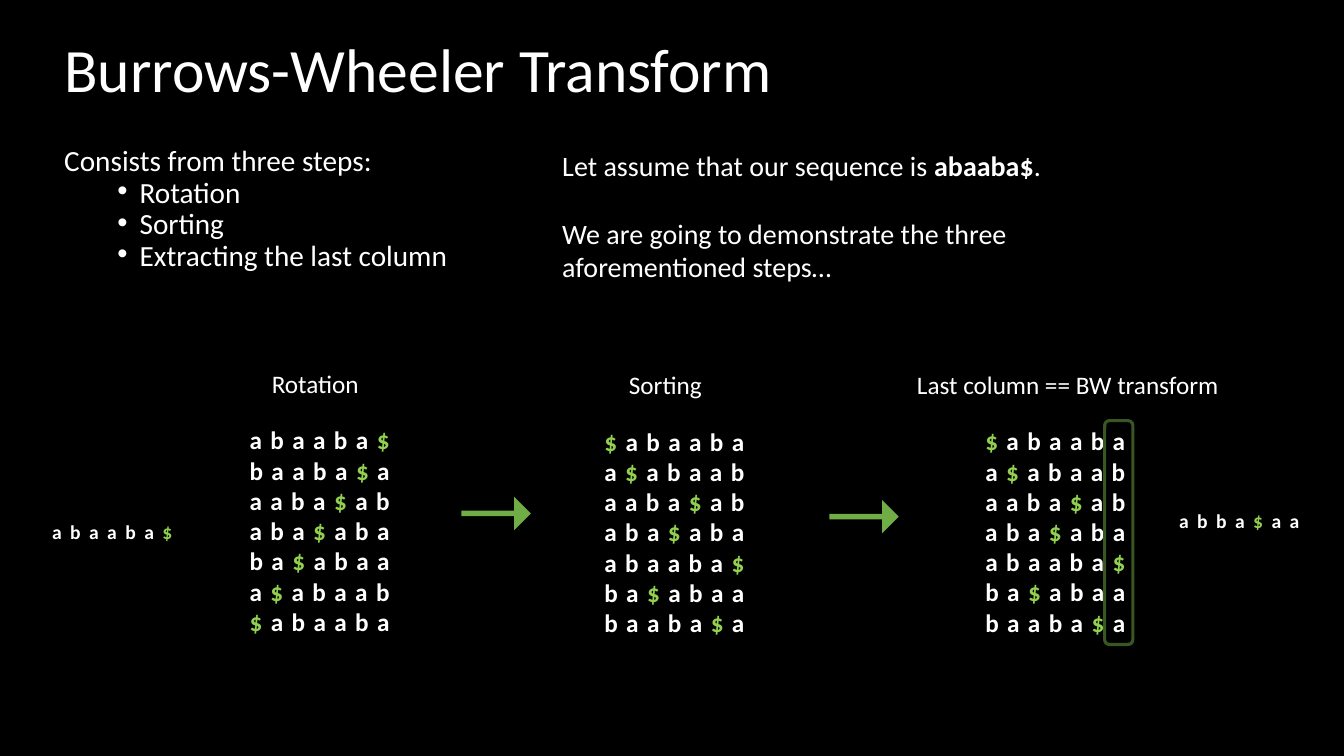
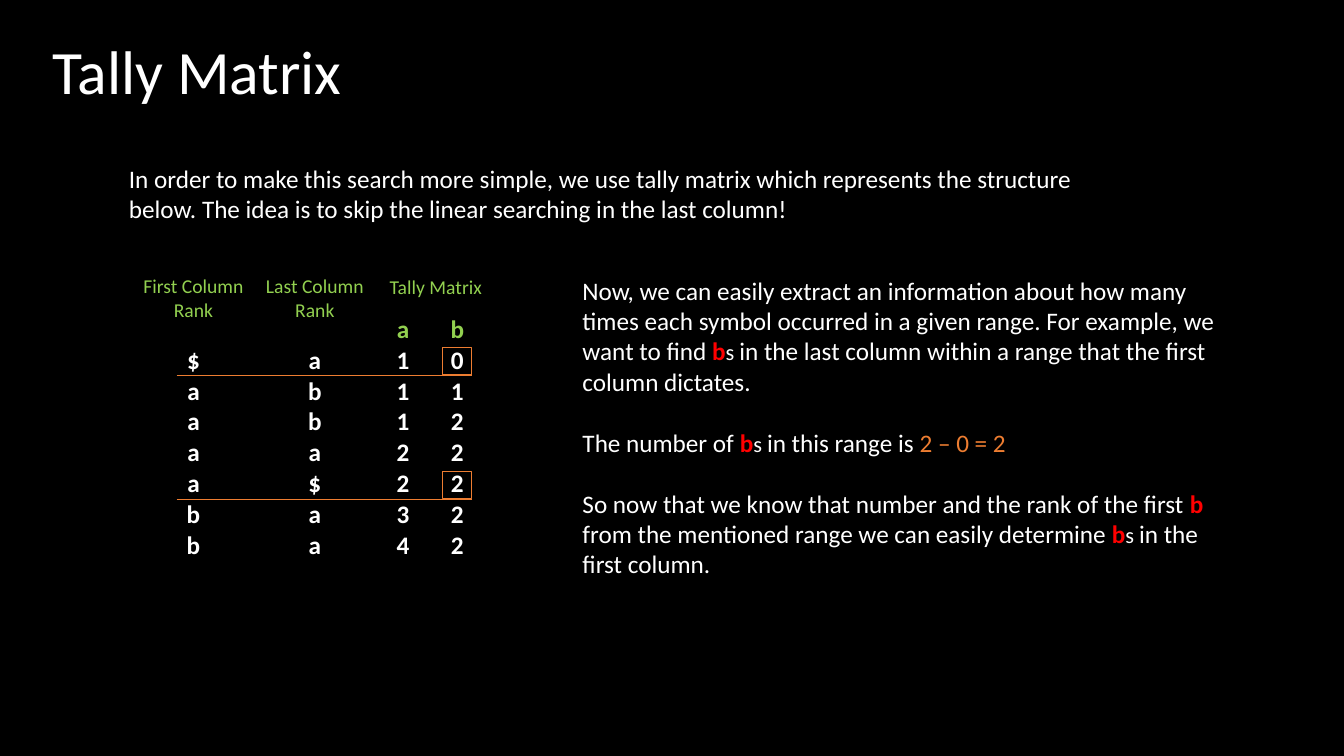
from itertools import groupby

from lxml import etree
from pptx import Presentation
from pptx.dml.color import RGBColor
from pptx.enum.shapes import MSO_CONNECTOR, MSO_SHAPE
from pptx.enum.text import MSO_ANCHOR, MSO_AUTO_SIZE, PP_ALIGN
from pptx.oxml.ns import qn
from pptx.util import Cm, Pt

COLORS = {"back": "000000", "text": "FFFFFF", "mark": "92D050", "arrow": "70AD47",
          "frame": "385723", "hit": "ED7D31", "symbol": "FF0000"}
FONT = "Calibri"
NO_GRID_STYLE = "{2D5ABB26-0587-4C30-8999-92F81FD0307C}"
SEQUENCE = "abaaba$"
ROTATIONS = [SEQUENCE[i:] + SEQUENCE[:i] for i in range(len(SEQUENCE))]
SORTED_ROWS = sorted(ROTATIONS)
FIRST_COLUMN = "".join(row[0] for row in SORTED_ROWS)
LAST_COLUMN = "".join(row[-1] for row in SORTED_ROWS)


def rgb(name):
    return RGBColor.from_string(COLORS[name])


# Text helpers
def add_run(p, text, size=18, color="text", bold=False, spacing=0):
    r = p.add_run()
    r.text = text
    for name, value in {"name": FONT, "size": Pt(size), "bold": bold}.items():
        setattr(r.font, name, value)
    r.font.color.rgb = rgb(color)
    if spacing:
        r._r.get_or_add_rPr().set("spc", str(spacing * 100))


def write(tf, paragraphs, fmt=None, **base):
    """Each paragraph is a list of (text, run format) pairs."""
    for i, runs in enumerate(paragraphs):
        p = tf.paragraphs[0] if i == 0 else tf.add_paragraph()
        for name, value in (fmt or {}).items():
            if i or name != "space_before":
                setattr(p, name, value)
        for text, run_format in runs:
            add_run(p, text, **{**base, **run_format})


def add_text(s, box, paragraphs, fmt=None, wrap=True, **base):
    tf = s.shapes.add_textbox(*map(Cm, box)).text_frame
    tf.word_wrap = wrap
    write(tf, paragraphs, fmt, **base)
    return tf


def plain(*lines):
    return [[(line, {})] for line in lines]


def marked(rows):
    """Split each row into runs so that the end marker stands out."""
    return [[("".join(part), {"color": "mark" if is_end else "text"})
             for is_end, part in groupby(row, lambda ch: ch == "$")] for row in rows]


def add_sequences(s, box, rows, size=18, wrap=True):
    add_text(s, box, marked(rows), {"alignment": PP_ALIGN.CENTER}, wrap,
             size=size, bold=True, spacing=6)


# Shape helpers
def add_shape(s, kind, box, fill=None, line=None, width=1, adjust=None):
    sp = s.shapes.add_shape(kind, *map(Cm, box))
    sp.shadow.inherit = False
    if adjust is not None:
        sp.adjustments[0] = adjust
    if fill:
        sp.fill.solid()
        sp.fill.fore_color.rgb = rgb(fill)
    else:
        sp.fill.background()
    if line:
        sp.line.color.rgb = rgb(line)
        sp.line.width = Pt(width)
    else:
        sp.line.fill.background()


def add_rule(s, x1, x2, y):
    line = s.shapes.add_connector(MSO_CONNECTOR.STRAIGHT, *map(Cm, (x1, y, x2, y)))
    line.line.color.rgb = rgb("hit")
    line.line.width = Pt(0.75)
    etree.SubElement(line._element.spPr, qn("a:effectLst"))


def add_titled_slide(prs, title, x, y):
    s = prs.slides.add_slide(prs.slide_layouts[5])
    sp = s.shapes.title
    place = {"left": Cm(x), "top": Cm(y), "width": Cm(29.21), "height": Cm(3.68)}
    for name, value in place.items():
        setattr(sp, name, value)
    tf = sp.text_frame
    tf.auto_size = MSO_AUTO_SIZE.NONE
    tf.vertical_anchor = MSO_ANCHOR.MIDDLE
    write(tf, plain(title), {"alignment": PP_ALIGN.LEFT, "line_spacing": 0.9}, size=44)
    return s


# Transform slide
def add_steps(s, box):
    tf = add_text(s, box, plain("Consists from three steps:", "Rotation", "Sorting",
                                "Extracting the last column"),
                  {"line_spacing": 0.7, "space_before": Pt(5)}, size=20.9)
    for p in tf.paragraphs[1:]:
        pPr = p._p.get_or_add_pPr()
        pPr.set("marL", str(Cm(1.9)))
        pPr.set("indent", str(Cm(-0.56)))
        etree.SubElement(pPr, qn("a:buFont")).set("typeface", "Arial")
        etree.SubElement(pPr, qn("a:buChar")).set("char", "•")


def add_matrix(s, x, y, label, label_dx, label_width, rows, framed=False):
    add_text(s, (x + label_dx, y, label_width, 1.02), plain(label))
    add_sequences(s, (x, y + 1.43, 6.15, 5.64), rows)
    if framed:
        add_shape(s, MSO_SHAPE.ROUNDED_RECTANGLE, (x + 4.32, y + 1.43, 0.71, 5.64),
                  line="frame", width=2.25, adjust=0.167)


def build_transform(prs):
    s = add_titled_slide(prs, "Burrows-Wheeler Transform", 1.37, 0)
    add_steps(s, (1.37, 3.71, 11.71, 3.58))
    add_text(s, (13.92, 3.63, 15.11, 3.68), [
        [("Let assume that our sequence is ", {}), (SEQUENCE, {"bold": True}), (".", {})],
        [("We are going to demonstrate the three aforementioned steps…", {})],
    ], {"space_before": Pt(24)}, size=20)
    # From input to output
    add_sequences(s, (0.94, 12.98, 3.78, 0.86), [SEQUENCE], 14, wrap=False)
    add_matrix(s, 4.98, 9.15, "Rotation", 1.62, 2.77, ROTATIONS)
    add_matrix(s, 13.92, 9.18, "Sorting", 1.68, 2.77, SORTED_ROWS)
    add_matrix(s, 23.52, 9.17, "Last column == BW transform", -0.66, 8.94,
               SORTED_ROWS, framed=True)
    add_sequences(s, (29.31, 12.7, 3.84, 0.86), [LAST_COLUMN], 14, wrap=False)
    for x, y in ((11.63, 12.52), (20.9, 12.6)):
        add_shape(s, MSO_SHAPE.RIGHT_ARROW, (x, y, 1.75, 0.84), fill="arrow", adjust=0.165)


# Tally slide
def add_tally(s, x, y):
    widths, head, row_height = (3.05, 3.07, 1.37, 1.37), 1.76, 0.78
    center = {"alignment": PP_ALIGN.CENTER}
    tally = [[first, last] + [str(LAST_COLUMN[:i + 1].count(ch)) for ch in "ab"]
             for i, (first, last) in enumerate(zip(FIRST_COLUMN, LAST_COLUMN))]
    grid = [["First Column Rank", "Last Column Rank", "a", "b"]] + tally
    heights = [head] + [row_height] * len(tally)
    table = s.shapes.add_table(len(grid), len(widths), Cm(x), Cm(y),
                               Cm(sum(widths)), Cm(sum(heights))).table
    table.first_row = table.horz_banding = False
    table._tbl.tblPr.find(qn("a:tableStyleId")).text = NO_GRID_STYLE
    for column, width in zip(table.columns, widths):
        column.width = Cm(width)
    for row, height in zip(table.rows, heights):
        row.height = Cm(height)
    for i, values in enumerate(grid):
        for j, text in enumerate(values):
            cell = table.cell(i, j)
            cell.fill.background()
            for side in ("left", "right", "top", "bottom"):
                setattr(cell, f"margin_{side}", 0)
            is_caption = i == 0 and j < 2
            cell.vertical_anchor = MSO_ANCHOR.TOP if is_caption else MSO_ANCHOR.BOTTOM
            write(cell.text_frame, plain(text), center, size=14 if is_caption else 18,
                  bold=not is_caption, color="text" if i else "mark")
    # Caption over the two count columns
    add_text(s, (x + 5.36, y - 0.12, 4.55, 0.86), plain("Tally Matrix"), center,
             size=14, color="mark")
    # Range limits
    for i in (0, 4):
        bottom = y + head + row_height * (i + 1)
        add_rule(s, x + 1.1, x + 8.54, bottom)
        add_shape(s, MSO_SHAPE.RECTANGLE, (x + 7.8, bottom - 0.71, 0.74, 0.69), line="hit")


def build_tally(prs):
    s = add_titled_slide(prs, "Tally Matrix", 1.07, 0.05)
    add_text(s, (3, 3.99, 24.99, 1.8), plain(
        "In order to make this search more simple, we use tally matrix which represents "
        "the structure below. The idea is to skip the linear searching in the last column!"))
    add_tally(s, 3.35, 6.93)
    # Explanation
    b = ("b", {"color": "symbol", "bold": True})
    plural = ("s ", {"size": 16})
    add_text(s, (14.43, 6.81, 16.81, 7.95), [
        [("Now, we can easily extract an information about how many times each symbol "
          "occurred in a given range. For example, we want to find ", {}), b, plural,
         ("in the last column within a range that the first column dictates.", {})],
        [("The number of ", {}), b, plural, ("in this range is ", {}),
         ("2 – 0 = 2", {"color": "hit"})],
        [("So now that we know that number and the rank of the first ", {}), b,
         (" from the mentioned range we can easily determine ", {}), b, plural,
         ("in the first column.", {})],
    ], {"space_before": Pt(22)})


def main():
    prs = Presentation()
    prs.slide_width, prs.slide_height = Cm(33.87), Cm(19.05)
    fill = prs.slide_master.background.fill
    fill.solid()
    fill.fore_color.rgb = rgb("back")
    build_transform(prs)
    build_tally(prs)
    prs.save("out.pptx")


if __name__ == "__main__":
    main()
